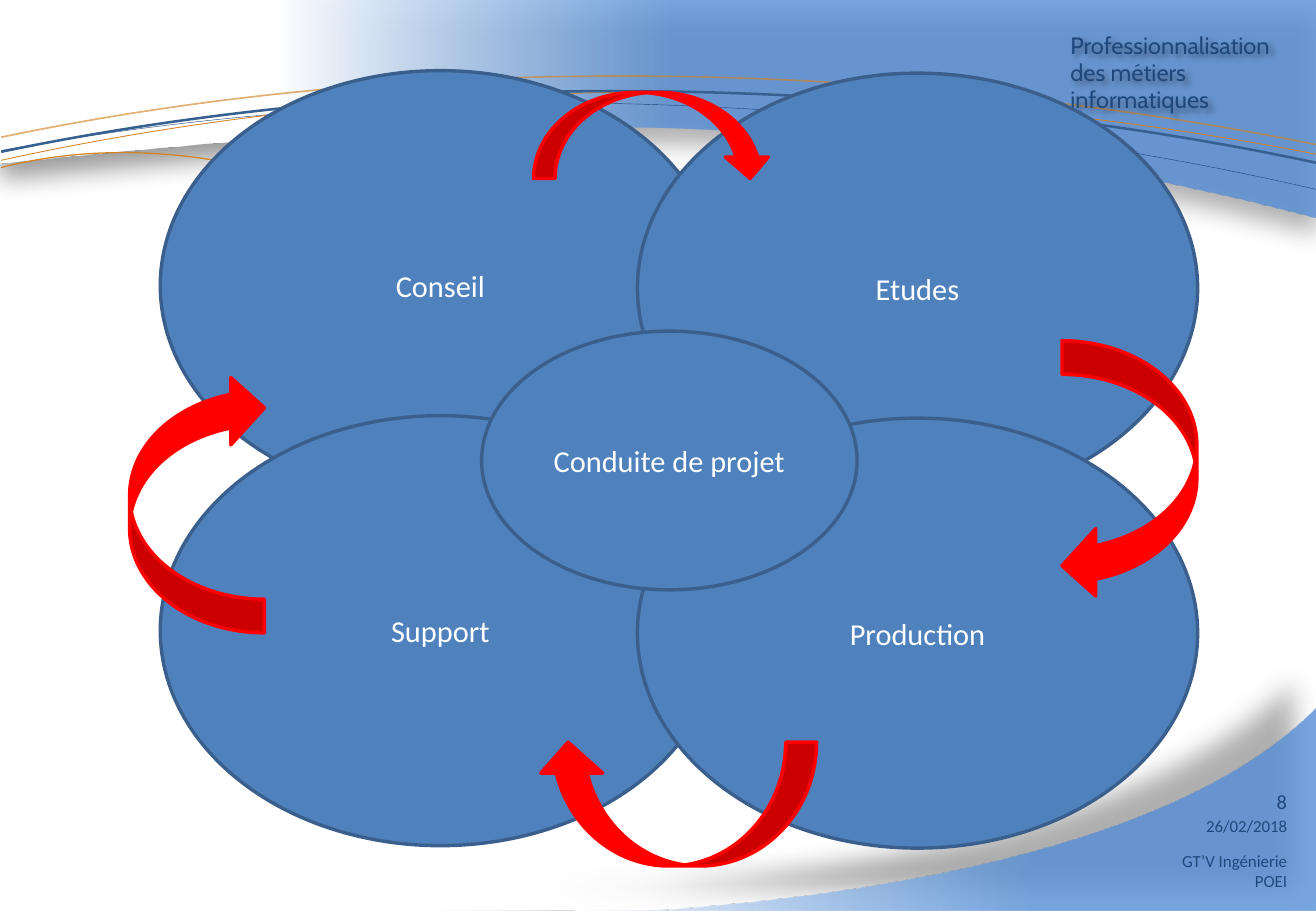
from lxml.etree import SubElement
from pptx import Presentation
from pptx.dml.color import RGBColor
from pptx.enum.shapes import MSO_SHAPE as Preset
from pptx.enum.text import MSO_ANCHOR as Anchor, PP_ALIGN as Align
from pptx.oxml.ns import qn
from pptx.util import Inches, Pt

WIDTH, HEIGHT = Inches(10.83), Inches(7.5)
COLUMN, ROW = WIDTH / 100, HEIGHT / 100
FINE = 100

WHITE = RGBColor(0xFF, 0xFF, 0xFF)
BLACK = RGBColor(0, 0, 0)
SKY = RGBColor(0x55, 0x8E, 0xD5)
BLUE = RGBColor(0x4F, 0x81, 0xBD)
EDGE = RGBColor(0x3A, 0x5F, 0x8C)
NAVY = RGBColor(0x1F, 0x49, 0x7D)
STEEL = RGBColor(0x37, 0x60, 0x92)
ORANGE = RGBColor(0xD2, 0x83, 0x26)
RED = RGBColor(0xFF, 0, 0)

LOWER_EDGE = [(100, 77.6), (90.3, 92.13), (68.61, 98), (50.23, 99.87),
              (41.83, 100), (33.52, 100), (25.12, 100)]
UPPER_EDGE = [(0, 17.87), (22.07, 14.8), (60.02, 8.4), (100, 23.87)]
STRANDS = [
    ([(0.09, 16.53), (44.32, 4.8), (85.04, 15.73), (100, 20.8)], NAVY, 0.25, 100),
    ([(0.09, 18.4), (8.59, 15.2), (16.44, 17.47), (19.58, 18.53)], ORANGE, 0.75, 100),
    ([(0.09, 17.6), (43.4, 3.87), (84.03, 12.4), (100, 16.93)], ORANGE, 0.5, 100),
    ([(0.09, 16.67), (43.58, 3.6), (84.12, 12.93), (100, 17.87)], STEEL, 1.5, 100),
    ([(0.09, 15.07), (43.49, 2), (84.03, 11.2), (100, 15.87)], ORANGE, 1, 64),
]
ARROWS = [
    (Preset.CURVED_DOWN_ARROW, (40.54, 10.13, 18.1, 9.47), 0),
    (Preset.CURVED_LEFT_ARROW, (80.7, 37.4, 10.25, 28.4), 0),
    (Preset.CURVED_LEFT_ARROW, (46.72, 72.93, 9.42, 30.67), 90),
    (Preset.CURVED_LEFT_ARROW, (9.85, 41.07, 10.25, 28.4), 180),
]
ACTIVITIES = [["Conseil", "Etudes"], ["Support", "Production"]]
FOOTERS = [
    ("26/02/2018", (84.21, 88.93, 14.5, 5.87), 10),
    ("GT’V Ingénierie\nPOEI", (82.18, 92.67, 16.53, 5.87), 10),
    ("8", (90.21, 86, 8.49, 4), 12),
]


def place(left, top, width, height):
    return [round(n) for n in (left * COLUMN, top * ROW, width * COLUMN, height * ROW)]


def set_alpha(colour, percent):
    SubElement(colour, qn("a:alpha")).set("val", str(percent * 1000))


def add_shadow(shape, blur, distance, angle):
    shape.shadow.inherit = False
    effects = shape._element.spPr.find(qn("a:effectLst"))
    outer = SubElement(effects, qn("a:outerShdw"), blurRad=str(Pt(blur)),
                       dist=str(Pt(distance)), dir=str(angle * 60000),
                       algn="ctr", rotWithShape="0")
    colour = SubElement(outer, qn("a:srgbClr"), val=str(BLACK))
    set_alpha(colour, 40)


def bend(outline, curves):
    steps = list(outline._element.iter(qn("a:lnTo")))[:3 * curves]
    for first in range(0, len(steps), 3):
        trio = steps[first:first + 3]
        curve = SubElement(trio[0].getparent(), qn("a:cubicBezTo"))
        trio[0].addprevious(curve)
        for step in trio:
            curve.append(step[0])
            step.getparent().remove(step)


def add_outline(slide, edge, corners=()):
    points = [(round(x * FINE), round(y * FINE)) for x, y in [*edge, *corners]]
    builder = slide.shapes.build_freeform(*points[0], scale=(COLUMN / FINE, ROW / FINE))
    builder.add_line_segments(points[1:], close=bool(corners))
    outline = builder.convert_to_shape()
    outline.shadow.inherit = False
    bend(outline, len(edge) // 3)
    return outline


def add_wave(slide, edge, corners, sky_start, shadow):
    wave = add_outline(slide, edge, corners)
    wave.line.fill.background()
    wave.fill.gradient()
    wave.fill.gradient_angle = 0
    for stop, position, colour in zip(wave.fill.gradient_stops, (0.21, sky_start), (WHITE, SKY)):
        stop.position = position
        stop.color.rgb = colour
    set_alpha(list(wave._element.spPr.iter(qn("a:srgbClr")))[-1], 79)
    add_shadow(wave, *shadow)


def add_strand(slide, curve, colour, weight, opacity):
    strand = add_outline(slide, curve)
    strand.fill.background()
    strand.line.color.rgb = colour
    strand.line.width = Pt(weight)
    if opacity < 100:
        set_alpha(next(strand._element.spPr.iter(qn("a:srgbClr"))), opacity)


def write(frame, words, size, colour, align, face="Calibri"):
    frame.word_wrap = True
    paragraph = frame.paragraphs[0]
    paragraph.text = words
    paragraph.alignment = align
    paragraph.font.name = face
    paragraph.font.size = Pt(size)
    paragraph.font.color.rgb = colour
    return paragraph


def add_solid(slide, preset, box, fill, edge):
    solid = slide.shapes.add_shape(preset, *place(*box))
    solid.shadow.inherit = False
    solid.fill.solid()
    solid.fill.fore_color.rgb = fill
    solid.line.color.rgb = edge
    solid.line.width = Pt(2)
    return solid


def add_activity(slide, words, box):
    activity = add_solid(slide, Preset.OVAL, box, BLUE, EDGE)
    activity.text_frame.vertical_anchor = Anchor.MIDDLE
    write(activity.text_frame, words, 18, WHITE, Align.CENTER)


def add_footer(slide, words, box, size):
    footer = slide.shapes.add_textbox(*place(*box))
    footer.text_frame.margin_left = 0
    write(footer.text_frame, words, size, NAVY, Align.RIGHT)


def add_motto(slide):
    motto = slide.shapes.add_textbox(*place(80.42, 2.8, 18.28, 5.47))
    line = write(motto.text_frame, "Professionnalisation des métiers informatiques",
                 14, NAVY, Align.LEFT, "Cabin")
    line.line_spacing = Pt(16.2)
    add_shadow(motto, 4, 3, 45)


def main():
    deck = Presentation()
    deck.slide_width, deck.slide_height = WIDTH, HEIGHT
    slide = deck.slides.add_slide(deck.slide_layouts[6])

    add_wave(slide, LOWER_EDGE, [(100, 100)], 0.71, (15, 20, 225))
    add_wave(slide, UPPER_EDGE, [(100, 0), (0, 0)], 0.51, (15, 9, 90))
    for footer in FOOTERS:
        add_footer(slide, *footer)
    for strand in STRANDS:
        add_strand(slide, *strand)
    add_motto(slide)

    for row, names in enumerate(ACTIVITIES):
        for column, name in enumerate(names):
            left = 12.18 + 36.26 * column
            top = 7.76 + 37.87 * row + 0.27 * column
            add_activity(slide, name, (left, top, 42.57, 47.2))
    for preset, box, turn in ARROWS:
        add_solid(slide, preset, box, RED, RED).rotation = turn
    add_activity(slide, "Conduite de projet", (36.6, 36.35, 28.53, 28.4))

    deck.save("out.pptx")


if __name__ == "__main__":
    main()
